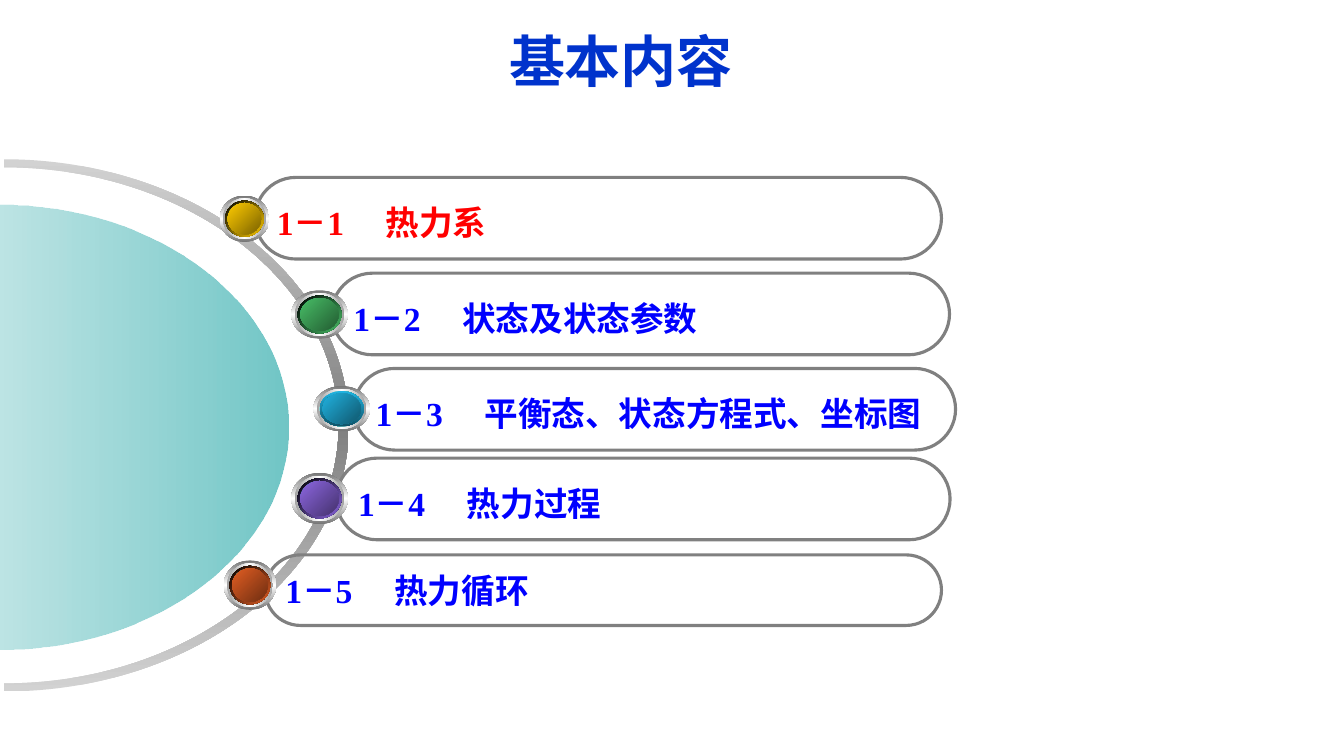
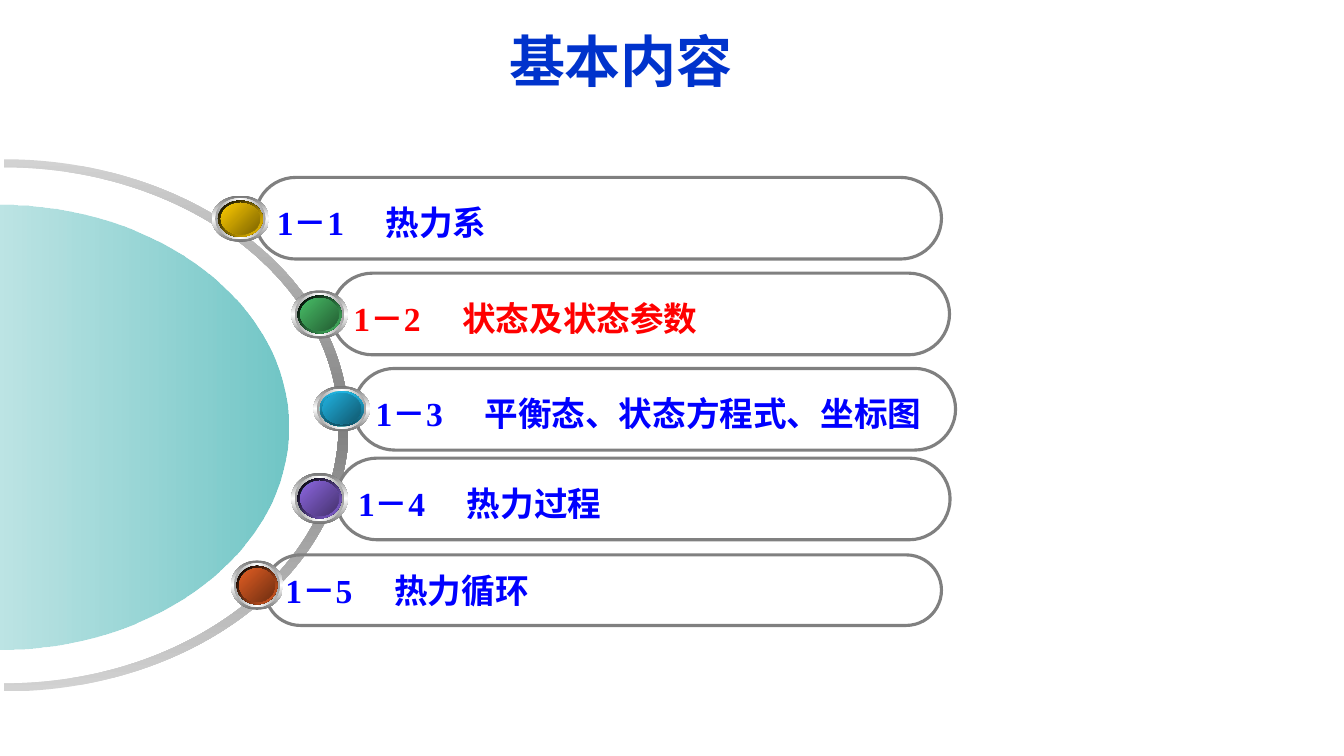
from lxml import etree
from pptx import Presentation
from pptx.dml.color import RGBColor
from pptx.enum.shapes import MSO_SHAPE
from pptx.enum.text import MSO_ANCHOR, MSO_AUTO_SIZE, PP_ALIGN
from pptx.oxml.ns import qn
from pptx.util import Inches, Pt

OVAL, PILL = MSO_SHAPE.OVAL, MSO_SHAPE.ROUNDED_RECTANGLE
MIDDLE, BOTTOM = MSO_ANCHOR.MIDDLE, MSO_ANCHOR.BOTTOM
LEFT, CENTER = PP_ALIGN.LEFT, PP_ALIGN.CENTER
NO_FIT = MSO_AUTO_SIZE.NONE

CELL = Inches(0.1)
COLUMNS, ROWS = 133.33, 75
KAPPA = 0.55
TITLE_BOX = (18.6, 2.1, 86, 7.7)
TITLE_BLUE, TEXT_BLUE, ACTIVE_RED = "0033CC", "0000FF", "FF0000"
GRAY, WHITE, BLACK = "808080", "FFFFFF", "000000"
TEAL, DARK_TEAL, PALE_TEAL = "009999", "007575", "80CCCC"
SILVER, STEEL, ASH = "D2D2D2", "767676", "A2A2A2"

TOPICS = [
    ("1－1", "热力系", (25.3, 17.6, 68.1, 8.1), 1.2),
    ("1－2", "状态及状态参数", (32.9, 27.1, 61.3, 8.1), 1.2),
    ("1－3", "平衡态、状态方程式、坐标图", (35.1, 36.55, 59.7, 8.1), 1.2),
    ("1－4", "热力过程", (33.35, 45.45, 60.9, 8.1), 1.2),
    ("1－5", "热力循环", (26.3, 55.05, 67.1, 7), 1.0),
]
BALLS = [
    ((21.8, 19.4, 4.9, 4.6), (BLACK, "FFCC00"), 45, ("FFCC00", "7C6300")),
    ((28.9, 28.8, 5.6, 4.8), (BLACK, "48BE67"), 45, ("48BE67", "235C32")),
    ((31.1, 38.3, 5.6, 4.5), ("21B3E1", "0F5368"), 90, ("21B3E1", "10576D")),
    ((28.9, 46.9, 5.6, 5.1), (BLACK, "8D67E1"), 45, ("8D67E1", "45326D")),
    ((22.2, 55.6, 5.2, 4.9), (BLACK, "E35E23"), 45, ("E35E23", "6E2E11")),
]
SLIDES = [
    (0, {}),
    (1, {0: (21, 19.4, 5.7, 4.6), 4: (22.9, 55.6, 5.2, 4.9)}),
]


def color(value):
    return RGBColor.from_string(value)


def cells(*values):
    return [round(v * CELL) for v in values]


def fill_gradient(sp, colors, angle, alphas=()):
    sp.shadow.inherit = False
    sp.line.fill.background()
    sp.fill.gradient()
    sp.fill.gradient_angle = (360 - angle) % 360
    stops = sp._element.spPr.find(qn("a:gradFill")).find(qn("a:gsLst"))
    stops.clear()
    for i, value in enumerate(colors):
        gs = etree.SubElement(stops, qn("a:gs"), pos=str(100000 * i // (len(colors) - 1)))
        rgb = etree.SubElement(gs, qn("a:srgbClr"), val=value)
        if alphas:
            etree.SubElement(rgb, qn("a:alpha"), val=str(alphas[i] * 1000))


def half_ellipse(x, y, rx, ry):
    bend_x, bend_y = rx * KAPPA, ry * KAPPA
    points = [
        (x, y - ry), (x + bend_x, y - ry), (x + rx, y - bend_y), (x + rx, y),
        (x + rx, y + bend_y), (x + bend_x, y + ry), (x, y + ry),
    ]
    return [cells(*point) for point in points]


def add_curved_outline(s, *arcs):
    points = [point for arc in arcs for point in arc]
    builder = s.shapes.build_freeform(*points[0], scale=1.0)
    builder.add_line_segments(points[1:], close=True)
    sp = builder.convert_to_shape()
    lines = list(sp._element.iter(qn("a:lnTo")))
    start = 0
    for arc in arcs:
        for i in range(start, start + len(arc) - 1, 3):
            curve = etree.Element(qn("a:cubicBezTo"))
            lines[i].addprevious(curve)
            for line in lines[i:i + 3]:
                curve.append(line[0])
                line.getparent().remove(line)
        start += len(arc)
    return sp


def add_dial(s, x, y):
    outer = half_ellipse(x + 0.4, y, 34.2, 26.4)
    inner = half_ellipse(x + 0.4, y, 33.2, 25.6)
    ring = add_curved_outline(s, outer, inner[::-1])
    fill_gradient(ring, (SILVER, GRAY, SILVER), 90)
    disc = add_curved_outline(s, half_ellipse(x, y + 0.15, 28.6, 22.05))
    fill_gradient(disc, (PALE_TEAL, TEAL), 0, (52, 56))


def add_topic(s, box, number, title, spacing, text_color):
    sp = s.shapes.add_shape(PILL, *cells(*box))
    sp.adjustments[0] = 0.5
    sp.shadow.inherit = False
    sp.fill.background()
    sp.line.color.rgb = color(GRAY)
    sp.line.width = Pt(2.25)
    tf = sp.text_frame
    tf.word_wrap = True
    tf.vertical_anchor = MIDDLE
    p = tf.paragraphs[0]
    p.text = f"{number}\t{title}"
    p.alignment = LEFT
    p.line_spacing = spacing
    tabs = etree.SubElement(p._p.get_or_add_pPr(), qn("a:tabLst"))
    etree.SubElement(tabs, qn("a:tab"), pos=str(Inches(1.08)), algn="l")
    set_font(p, "Times New Roman", 24, text_color)


def set_font(p, name, size, text_color):
    p.font.name = name
    p.font.size = Pt(size)
    p.font.bold = True
    p.font.color.rgb = color(text_color)


def add_ball(s, box, rim, rim_angle, face):
    x, y, w, h = box
    group = s.shapes.add_group_shape()
    layers = [
        (1, (STEEL, WHITE, STEEL), 90),
        (0.88, (ASH, WHITE, ASH), 0),
        (0.78, (WHITE, TEAL, WHITE), 45),
        (0.78, rim, rim_angle),
        (0.68, (DARK_TEAL, TEAL, DARK_TEAL), 315),
        (0.68, face, 45),
    ]
    for share, colors, angle in layers:
        inset = (1 - share) / 2
        place = cells(x + w * inset, y + h * inset, w * share, h * share)
        fill_gradient(group.shapes.add_shape(OVAL, *place), colors, angle)


def set_title(s, text):
    tf = s.shapes.title.text_frame
    tf.auto_size = NO_FIT
    tf.vertical_anchor = BOTTOM
    p = tf.paragraphs[0]
    p.text = text
    p.alignment = CENTER
    set_font(p, "Arial", 40, TITLE_BLUE)


def add_contents_slide(prs, layout, active, moved_balls):
    s = prs.slides.add_slide(layout)
    set_title(s, "基本内容")
    add_dial(s, 0, 42.2)
    for i, (number, title, box, spacing) in reversed(list(enumerate(TOPICS))):
        add_topic(s, box, number, title, spacing, ACTIVE_RED if i == active else TEXT_BLUE)
    for i, (box, *colors) in enumerate(BALLS):
        add_ball(s, moved_balls.get(i, box), *colors)


def main():
    prs = Presentation()
    prs.slide_width, prs.slide_height = cells(COLUMNS, ROWS)
    layout = prs.slide_layouts[5]
    title = layout.placeholders[0]
    title.left, title.top, title.width, title.height = cells(*TITLE_BOX)
    for active, moved_balls in SLIDES:
        add_contents_slide(prs, layout, active, moved_balls)
    prs.save("out.pptx")


if __name__ == "__main__":
    main()
